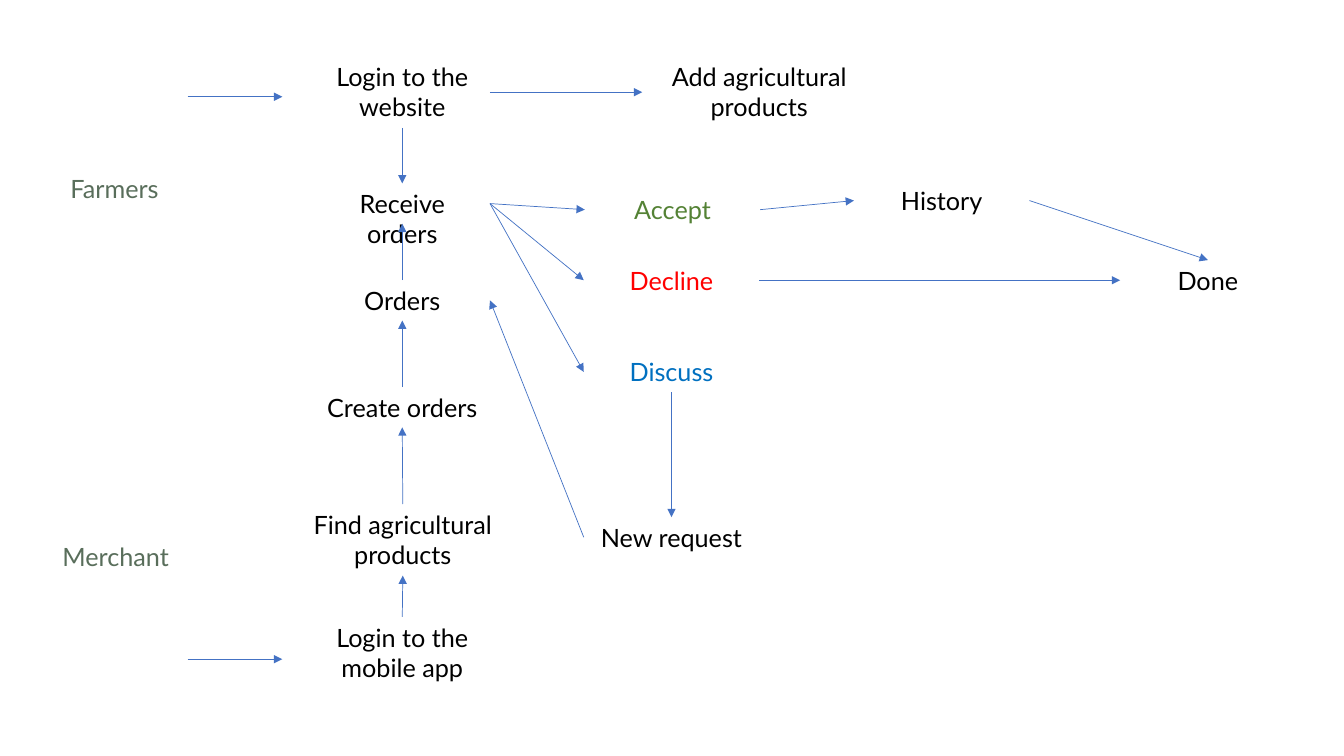
from lxml import etree
from pptx import Presentation
from pptx.dml.color import RGBColor
from pptx.enum.shapes import MSO_CONNECTOR
from pptx.enum.text import MSO_AUTO_SIZE, PP_ALIGN
from pptx.oxml.ns import qn
from pptx.util import Inches, Pt

STRAIGHT = MSO_CONNECTOR.STRAIGHT
GROW = MSO_AUTO_SIZE.SHAPE_TO_FIT_TEXT
LEFT, CENTER = PP_ALIGN.LEFT, PP_ALIGN.CENTER

BLACK = RGBColor(0x00, 0x00, 0x00)
GREEN = RGBColor(0x54, 0x82, 0x35)
RED = RGBColor(0xFF, 0x00, 0x00)
BLUE = RGBColor(0x00, 0x70, 0xC0)
SAGE = RGBColor(0x59, 0x6E, 0x5B)
ARROW = RGBColor(0x44, 0x72, 0xC4)

FONT = "Lato"
STEP_W = 1.74
ONE_LINE, TWO_LINES = 0.4, 0.71

# Steps: text -> left, top, width, height, colour
STEPS = {
    "Login to the website": (3.12, 0.56, STEP_W, TWO_LINES, BLACK),
    "Receive orders": (3.12, 1.82, STEP_W, ONE_LINE, BLACK),
    "Orders": (3.12, 2.78, STEP_W, ONE_LINE, BLACK),
    "Create orders": (3.12, 3.84, STEP_W, ONE_LINE, BLACK),
    "Find agricultural products": (2.82, 5, 2.35, TWO_LINES, BLACK),
    "Login to the mobile app": (3.12, 6.12, STEP_W, TWO_LINES, BLACK),
    "Add agricultural products": (6.37, 0.56, 2.32, TWO_LINES, BLACK),
    "Accept": (5.8, 1.88, STEP_W, ONE_LINE, GREEN),
    "Decline": (5.79, 2.58, STEP_W, ONE_LINE, RED),
    "Discuss": (5.79, 3.49, STEP_W, ONE_LINE, BLUE),
    "New request": (5.79, 5.13, STEP_W, ONE_LINE, BLACK),
    "History": (8.47, 1.79, STEP_W, ONE_LINE, BLACK),
    "Done": (11.11, 2.58, STEP_W, ONE_LINE, BLACK),
}

# Flows: step, side it leaves from, next step, side it reaches
FLOWS = [
    ("Login to the website", "bottom", "Receive orders", "top"),
    ("Orders", "top", "Receive orders", "bottom"),
    ("Create orders", "top", "Orders", "bottom"),
    ("Find agricultural products", "top", "Create orders", "bottom"),
    ("Login to the mobile app", "top", "Find agricultural products", "bottom"),
    ("Login to the website", "right", "Add agricultural products", "left"),
    ("Receive orders", "right", "Accept", "left"),
    ("Receive orders", "right", "Decline", "left"),
    ("Receive orders", "right", "Discuss", "left"),
    ("New request", "left", "Orders", "right"),
    ("Discuss", "bottom", "New request", "top"),
    ("Accept", "right", "History", "left"),
    ("Decline", "right", "Done", "left"),
    ("History", "right", "Done", "top"),
]

# Roles: text, left, top of the label, height of the entry arrow
ROLES = [("Farmers", 0.6, 1.67, 0.96), ("Merchant", 0.52, 5.32, 6.54)]
ROLE_W = 1.68
ENTRY_X = (1.86, 2.8)

# Share of a box's width and height at the middle of each side
SIDES = {"top": (0.5, 0), "bottom": (0.5, 1), "left": (0, 0.5), "right": (1, 0.5)}


def anchor(step, side):
    x, y, w, h, _ = STEPS[step]
    fx, fy = SIDES[side]
    return x + fx * w, y + fy * h


def add_label(slide, text, x, y, w, h, color, align):
    tf = slide.shapes.add_textbox(Inches(x), Inches(y), Inches(w), Inches(h)).text_frame
    tf.word_wrap = True
    tf.auto_size = GROW
    p = tf.paragraphs[0]
    p.alignment = align
    r = p.add_run()
    r.text = text
    r.font.name = FONT
    r.font.size = Pt(18)
    r.font.color.rgb = color


def add_arrow(slide, start, end):
    points = [Inches(v) for v in (*start, *end)]
    line = slide.shapes.add_connector(STRAIGHT, *points)
    line.line.color.rgb = ARROW
    line.line.width = Pt(0.5)
    ln = line.line._get_or_add_ln()
    etree.SubElement(ln, qn("a:tailEnd"), type="triangle")
    etree.SubElement(ln.getparent(), qn("a:effectLst"))


def main():
    prs = Presentation()
    prs.slide_width, prs.slide_height = Inches(13.33), Inches(7.5)
    slide = prs.slides.add_slide(prs.slide_layouts[6])

    # Steps and the flows between them
    for text, (x, y, w, h, color) in STEPS.items():
        add_label(slide, text, x, y, w, h, color, CENTER)
    for source, out_side, target, in_side in FLOWS:
        add_arrow(slide, anchor(source, out_side), anchor(target, in_side))

    # Roles and their entry arrows
    for text, x, y, entry_y in ROLES:
        add_label(slide, text, x, y, ROLE_W, ONE_LINE, SAGE, LEFT)
        add_arrow(slide, (ENTRY_X[0], entry_y), (ENTRY_X[1], entry_y))

    prs.save("out.pptx")


if __name__ == "__main__":
    main()
